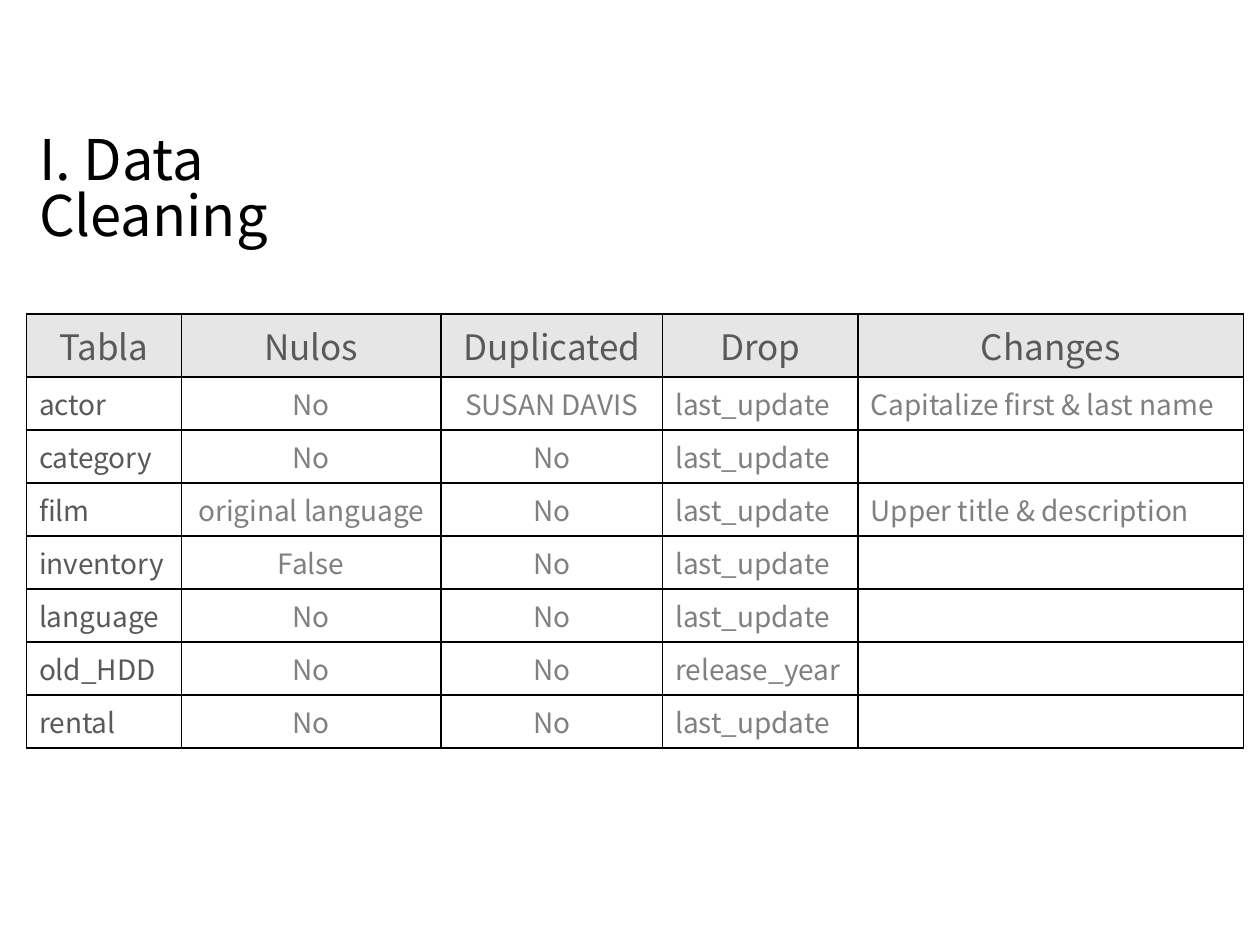
import pptx
import pptx.util
import pptx.dml.color
import pptx.enum.text
import lxml.etree
from pptx.oxml.ns import qn

TITLE = "I. Data Cleaning"
HEADER = ["Tabla", "Nulos", "Duplicated", "Drop", "Changes"]
ROWS = [
    ["actor", "No", "SUSAN DAVIS", "last_update", "Capitalize first & last name"],
    ["category", "No", "No", "last_update", ""],
    ["film", "original language", "No", "last_update", "Upper title & description"],
    ["inventory", "False", "No", "last_update", ""],
    ["language", "No", "No", "last_update", ""],
    ["old_HDD", "No", "No", "release_year", ""],
    ["rental", "No", "No", "last_update", ""],
]
COLUMN_WIDTHS = [1.23, 2.06, 1.76, 1.55, 3.06]
ROW_HEIGHTS = [0.44] + [0.33] * 6 + [0.41]
CENTRED_COLUMNS = {1, 2}

THEME = {
    "font": "Noto Sans CJK SC",
    "title": "000000", "strong": "595959", "body": "808080",
    "header_fill": "E7E6E6", "cell_fill": "FFFFFF", "border": "000000",
    "title_size": 32, "header_size": 20, "body_size": 16, "border_width": 1,
}

Inches = pptx.util.Inches
ALIGN = pptx.enum.text.PP_ALIGN


def color(name):
    return pptx.dml.color.RGBColor.from_string(THEME[name])


def write(frame, text, size, ink, align=ALIGN.LEFT, spacing=None):
    para = frame.paragraphs[0]
    para.alignment = align
    para.line_spacing = spacing
    if not text:
        end = lxml.etree.SubElement(para._p, qn("a:endParaRPr"), sz=str(THEME[size] * 100))
        lxml.etree.SubElement(end, qn("a:latin"), typeface=THEME["font"])
        return
    span = para.add_run()
    span.text = text
    span.font.name = THEME["font"]
    span.font.size = pptx.util.Pt(THEME[size])
    span.font.color.rgb = color(ink)


def add_borders(cell):
    properties = cell._tc.get_or_add_tcPr()
    width = str(pptx.util.Pt(THEME["border_width"]))
    for side in ("a:lnL", "a:lnR", "a:lnT", "a:lnB"):
        line = lxml.etree.SubElement(properties, qn(side), w=width)
        fill = lxml.etree.SubElement(line, qn("a:solidFill"))
        lxml.etree.SubElement(fill, qn("a:srgbClr"), val=THEME["border"])


def add_title(page):
    box = page.shapes.title
    box.left, box.top = Inches(0.21), Inches(1)
    box.width, box.height = Inches(3.4), Inches(0.64)
    frame = box.text_frame
    frame.word_wrap = True
    frame.auto_size = pptx.enum.text.MSO_AUTO_SIZE.NONE
    frame.vertical_anchor = pptx.enum.text.MSO_ANCHOR.TOP
    frame.margin_top = Inches(0.08)
    frame.margin_right = Inches(0.9)
    write(frame, TITLE, "title_size", "title", spacing=0.83)


def add_cleaning_table(page):
    table = page.shapes.add_table(
        len(ROWS) + 1, len(HEADER), Inches(0.21), Inches(2.49),
        Inches(sum(COLUMN_WIDTHS)), Inches(sum(ROW_HEIGHTS))).table
    table.horz_banding = False
    for column, width in zip(table.columns, COLUMN_WIDTHS):
        column.width = Inches(width)
    for row, height in zip(table.rows, ROW_HEIGHTS):
        row.height = Inches(height)
    for r, values in enumerate([HEADER] + ROWS):
        is_header = r == 0
        for c, value in enumerate(values):
            cell = table.cell(r, c)
            add_borders(cell)
            cell.fill.solid()
            cell.fill.fore_color.rgb = color("header_fill" if is_header else "cell_fill")
            write(cell.text_frame, value,
                  size="header_size" if is_header else "body_size",
                  ink="strong" if is_header or c == 0 else "body",
                  align=ALIGN.CENTER if is_header or c in CENTRED_COLUMNS else ALIGN.LEFT)


def main():
    deck = pptx.Presentation()
    deck.slide_width, deck.slide_height = Inches(10), Inches(7.5)
    page = deck.slides.add_slide(deck.slide_layouts[5])
    add_cleaning_table(page)
    add_title(page)
    deck.save("out.pptx")


if __name__ == "__main__":
    main()
